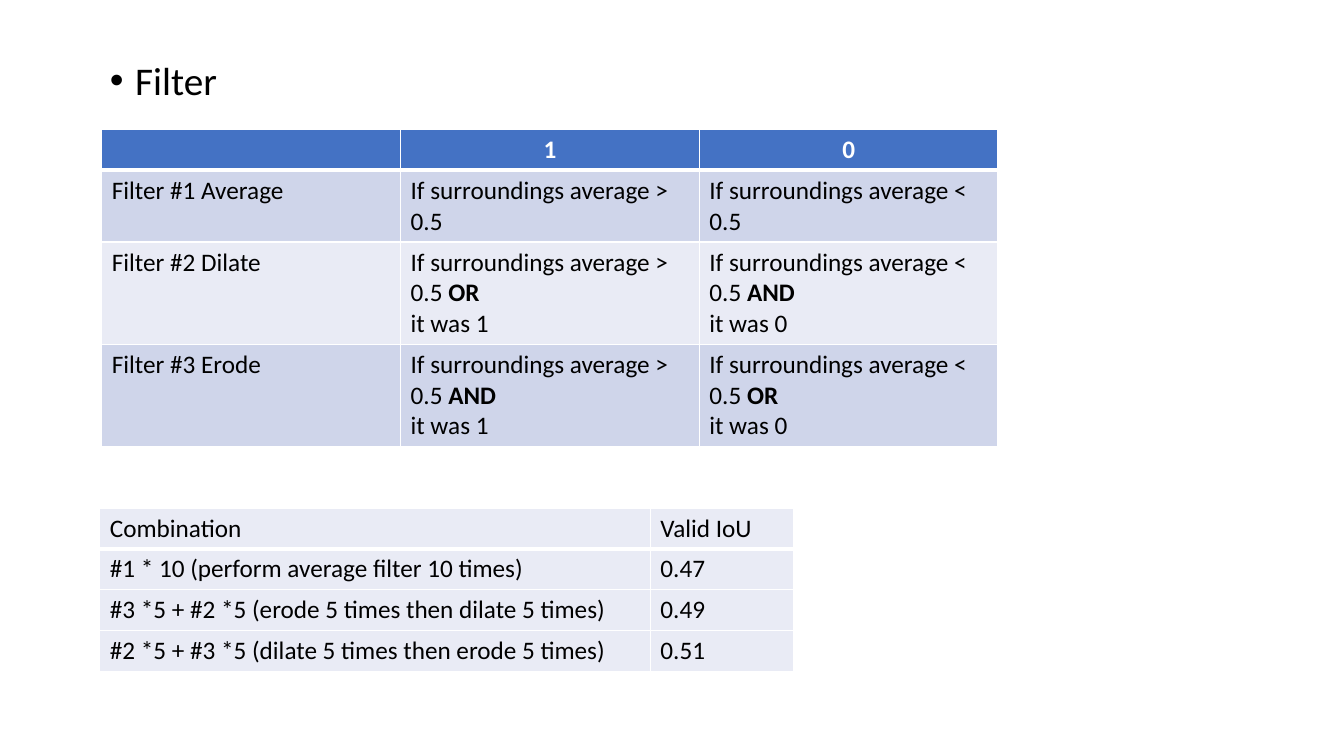
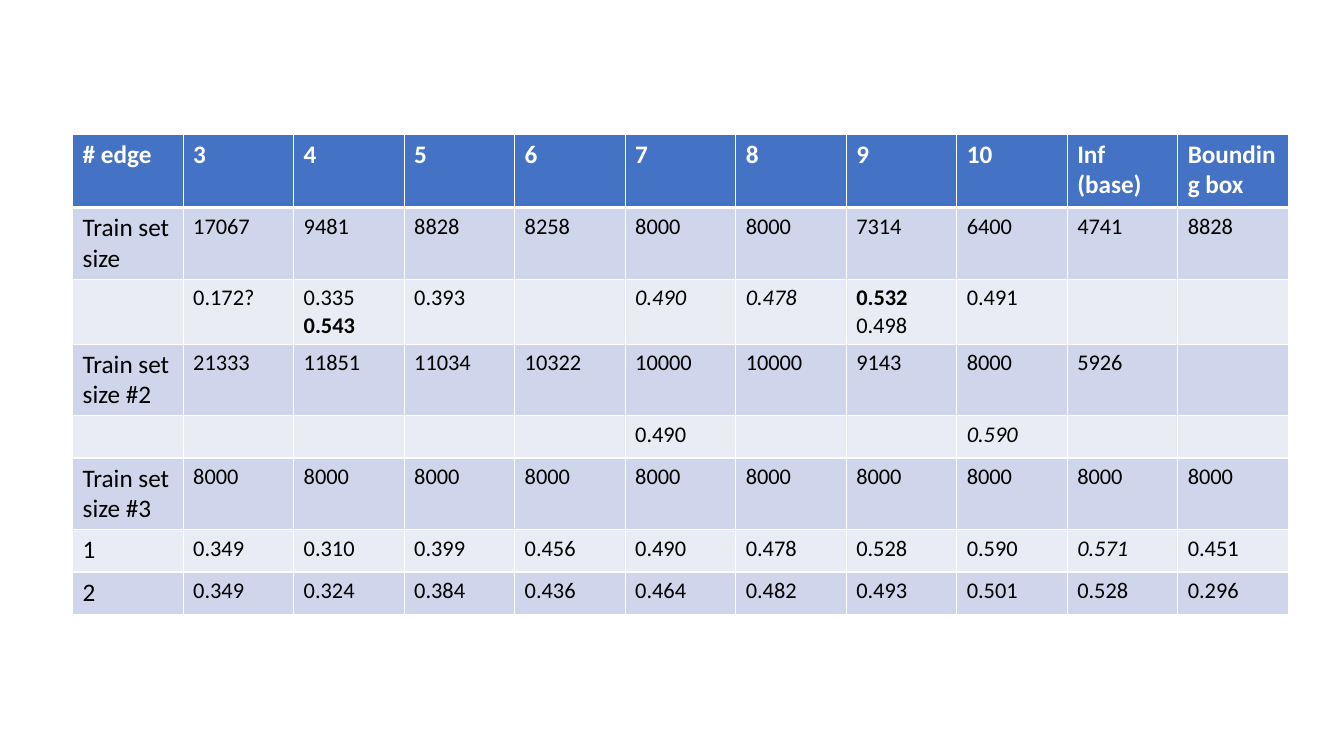
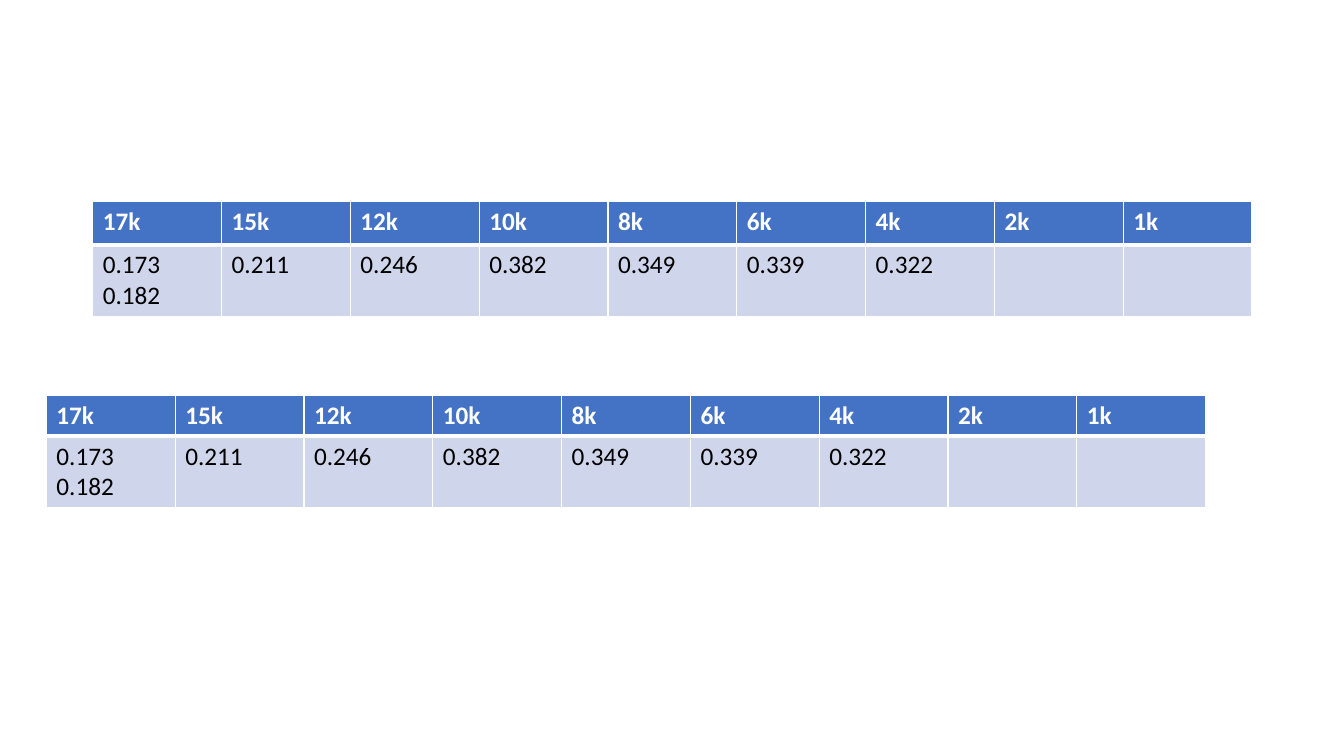
from pptx import Presentation
from pptx.dml.color import RGBColor as RGB
from pptx.enum.text import MSO_ANCHOR as ANCHOR, MSO_AUTO_SIZE as AUTO, PP_ALIGN as ALIGN
from pptx.oxml.ns import qn
from pptx.util import Inches, Pt
from lxml import etree

# Shared style
COLORS = {"head": "4472C4", "dark": "CFD5EA", "light": "E9EBF5",
          "line": "FFFFFF", "white": "FFFFFF", "black": "000000"}
FONT = "Calibri"
TITLE_AND_CONTENT, BLANK = 1, 6

# Table contents: cells split by "|", **bold**, a leading "_" for italic
FILTERS = [
    "|1|0",
    "Filter #1 Average|If surroundings average > 0.5|If surroundings average < 0.5",
    "Filter #2 Dilate|If surroundings average > 0.5 **OR**\nit was 1"
    "|If surroundings average < 0.5 **AND**\nit was 0",
    "Filter #3 Erode|If surroundings average > 0.5 **AND**\nit was 1"
    "|If surroundings average < 0.5 **OR**\nit was 0",
]
COMBINATIONS = [
    "Combination|Valid IoU",
    "#1 * 10 (perform average filter 10 times)|0.47",
    "#3 *5 + #2 *5 (erode 5 times then dilate 5 times)|0.49",
    "#2 *5 + #3 *5 (dilate 5 times then erode 5 times)|0.51",
]
EDGES = [
    "# edge|3|4|5|6|7|8|9|10|Inf (base)|Bounding box",
    "Train set size|17067|9481|8828|8258|8000|8000|7314|6400|4741|8828",
    "|0.172?|0.335\n**0.543**|0.393||_0.490|_0.478|**0.532** 0.498|0.491||",
    "Train set size #2|21333|11851|11034|10322|10000|10000|9143|8000|5926|",
    "|||||0.490|||_0.590||",
    "Train set size #3" + "|8000" * 10,
    "1|0.349|0.310|0.399|0.456|0.490|0.478|0.528|0.590|_0.571|0.451",
    "2|0.349|0.324|0.384|0.436|0.464|0.482|0.493|0.501|0.528|0.296",
]
SIZES = [
    "17k|15k|12k|10k|8k|6k|4k|2k|1k",
    "0.173\n0.182|0.211|0.246|0.382|0.349|0.339|0.322||",
]


def style_font(font, color, **values):
    font.color.rgb = RGB.from_string(COLORS[color])
    for name, value in {"name": FONT, **values}.items():
        setattr(font, name, value)


def add_borders(cell, widths):
    tc_pr = cell._tc.get_or_add_tcPr()
    for side, width in widths.items():
        ln = etree.SubElement(tc_pr, qn(f"a:ln{side}"), w=str(Pt(width)))
        fill = etree.SubElement(ln, qn("a:solidFill"))
        etree.SubElement(fill, qn("a:srgbClr"), val=COLORS["line"])


def write_cell(cell, text, color, size, bold, align):
    italic = text.startswith("_")
    tf = cell.text_frame
    for i, line in enumerate(text.removeprefix("_").split("\n")):
        p = tf.add_paragraph() if i else tf.paragraphs[0]
        p.alignment = align
        for j, part in enumerate(line.split("**")):
            if part:
                r = p.add_run()
                r.text = part
                style_font(r.font, color, size=Pt(size),
                           bold=bold or j % 2 == 1, italic=italic)


def add_grid(slide, left, top, widths, heights, lines, header=True,
             value_size=18, head_align=ALIGN.LEFT):
    """Table with a thick rule under row one; banded if it has a header."""
    frame = slide.shapes.add_table(
        len(lines), len(widths), Inches(left), Inches(top),
        Inches(sum(widths)), Inches(sum(heights)))
    table = frame.table
    table.first_row = table.horz_banding = False
    for col, width in zip(table.columns, widths):
        col.width = Inches(width)
    for i, (row, height, line) in enumerate(zip(table.rows, heights, lines)):
        row.height = Inches(height)
        is_head = header and i == 0
        band = "head" if is_head else "dark" if header and i % 2 else "light"
        borders = {"L": 1, "R": 1, "T": 3 if i == 1 else 1, "B": 3 if i == 0 else 1}
        for j, (cell, text) in enumerate(zip(row.cells, line.split("|"))):
            add_borders(cell, borders)
            cell.fill.solid()
            cell.fill.fore_color.rgb = RGB.from_string(COLORS[band])
            write_cell(cell, text, "white" if is_head else "black",
                       value_size if i and j else 18, is_head,
                       head_align if is_head else ALIGN.LEFT)


def add_bullet(slide, text, left, top, width, height):
    body = slide.placeholders[1]
    for name, value in {"left": left, "top": top, "width": width, "height": height}.items():
        setattr(body, name, Inches(value))
    tf = body.text_frame
    tf.auto_size, tf.vertical_anchor = AUTO.NONE, ANCHOR.TOP
    p = tf.paragraphs[0]
    p_pr = p._p.get_or_add_pPr()
    p_pr.set("marL", str(Inches(0.25)))
    p_pr.set("indent", str(-Inches(0.25)))
    etree.SubElement(p_pr, qn("a:buFont"), typeface="Arial")
    etree.SubElement(p_pr, qn("a:buChar"), char="•")
    p.line_spacing, p.space_before = 0.9, Pt(0)
    r = p.add_run()
    r.text = text
    style_font(r.font, "black", size=Pt(28))


def equal(total, count):
    return [total / count] * count


def main():
    prs = Presentation()
    prs.slide_width, prs.slide_height = Inches(13.33), Inches(7.5)

    # Filter rules and their combinations
    s = prs.slides.add_slide(prs.slide_layouts[TITLE_AND_CONTENT])
    title = s.shapes.title
    title.element.getparent().remove(title.element)
    add_bullet(s, "Filter", 0.99, 0.56, 11.5, 6.16)
    add_grid(s, 1.01, 1.28, equal(8.89, 3), [0.41, 0.7, 1, 1], FILTERS,
             head_align=ALIGN.CENTER)
    add_grid(s, 0.99, 5.04, [5.46, 1.42], equal(1.62, 4), COMBINATIONS, header=False)

    # Results by number of edges
    s = prs.slides.add_slide(prs.slide_layouts[BLANK])
    add_grid(s, 0.72, 1.33, equal(12.06, 11),
             [0.73, 0.7, 0.64, 0.7, 0.42, 0.7, 0.42, 0.42], EDGES, value_size=16)

    # Results by training set size
    s = prs.slides.add_slide(prs.slide_layouts[BLANK])
    for left, top, head_height in ((0.92, 2, 0.43), (0.46, 3.92, 0.4)):
        add_grid(s, left, top, equal(11.5, 9), [head_height, 0.7], SIZES)

    prs.save("out.pptx")


if __name__ == "__main__":
    main()
